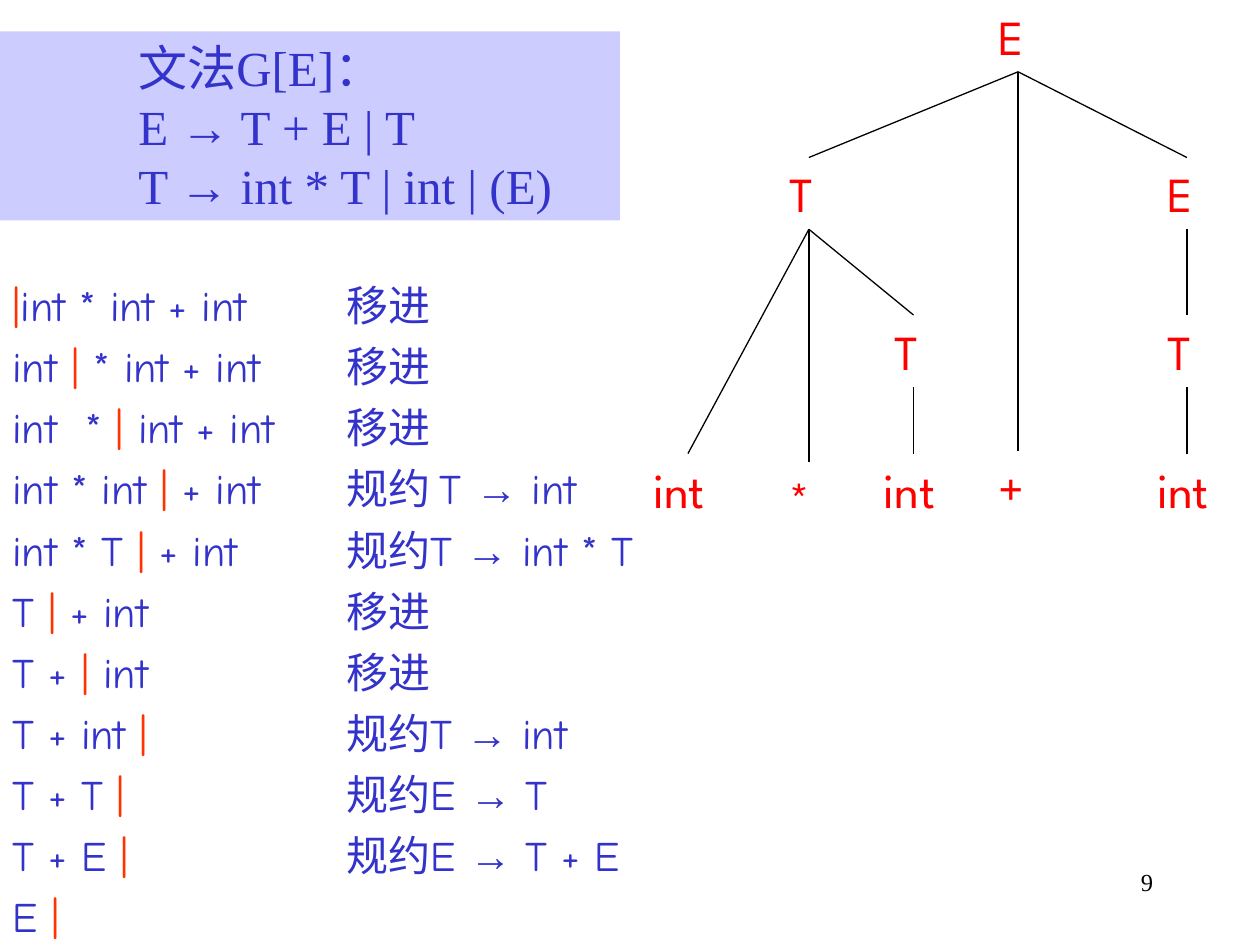
from pptx import Presentation
from pptx.dml.color import RGBColor
from pptx.enum.shapes import MSO_CONNECTOR, MSO_SHAPE
from pptx.enum.text import MSO_ANCHOR, MSO_AUTO_SIZE, PP_ALIGN
from pptx.oxml.ns import qn
from pptx.util import Inches, Pt

BLUE = RGBColor(0x33, 0x33, 0xCC)
LAVENDER = RGBColor(0xCC, 0xCC, 0xFF)
ORANGE = RGBColor(0xFF, 0x33, 0x00)
RED = RGBColor(0xFF, 0x00, 0x00)
BLACK = RGBColor(0, 0, 0)

TRACE_FONT, TREE_FONT, SERIF, ARROW_FONT = (
    "Comic Neue", "League Spartan", "Times New Roman", "Arial")

TRACE_TOP, ROW_HEIGHT = 2.17, 0.485
STACK_WIDTH, ACTION_WIDTH = 2.65, 2.85
NODE_HEIGHT = 0.57
BOTTOM, TOP = 2, 0

GRAMMAR = ["文法G[E]：\nE → T + E | T", "T → int * T | int | (E)"]

TRACE = [
    ("|int * int + int", "移进"),
    ("int | * int + int", "移进"),
    ("int  * | int + int", "移进"),
    ("int * int | + int", "规约 T → int"),
    ("int * T | + int", "规约T → int * T"),
    ("T | + int", "移进"),
    ("T + | int", "移进"),
    ("T + int |", "规约T → int"),
    ("T + T |", "规约E → T"),
    ("T + E |", "规约E → T + E"),
    ("E |", ""),
]

# name: (text, centre x, top, width, parent)
TREE = {
    "root": ("E", 8.08, 0, 0.5, None),
    "left T": ("T", 6.42, 1.25, 0.5, "root"),
    "right E": ("E", 9.42, 1.25, 0.5, "root"),
    "plus": ("+", 8.08, 3.58, 0.5, "root"),
    "first int": ("int", 5.46, 3.6, 0.75, "left T"),
    "times": ("*", 6.42, 3.67, 0.5, "left T"),
    "inner T": ("T", 7.25, 2.5, 0.5, "left T"),
    "second int": ("int", 7.25, 3.6, 0.67, "inner T"),
    "right T": ("T", 9.42, 2.5, 0.5, "right E"),
    "third int": ("int", 9.42, 3.6, 0.67, "right T"),
}


def add_text(shapes, text, left, top, width, height, font, size, color):
    box = shapes.add_textbox(Inches(left), Inches(top), Inches(width), Inches(height))
    box.text_frame.word_wrap = True
    para = box.text_frame.paragraphs[0]
    write_spans(para, text, font, size, color)
    return box


def write_spans(para, text, font, size, color, mark=None, mark_color=None):
    """Write text, with arrows in their own font and the mark in its own colour."""
    para.font.size = Pt(size)
    para.font.color.rgb = color
    for special in ("→", "\n", mark):
        if special:
            text = text.replace(special, f"\t{special}\t")
    for piece in filter(None, text.split("\t")):
        if piece == "\n":
            para.add_line_break()
            continue
        span = para.add_run()
        span.text = piece
        span.font.name = ARROW_FONT if piece == "→" else font
        span.font.size = Pt(size)
        span.font.color.rgb = mark_color if piece == mark else color


def add_trace(page):
    group = page.shapes.add_group_shape()
    for row, (stack, action) in enumerate(TRACE):
        top = TRACE_TOP + row * ROW_HEIGHT
        box = add_text(group.shapes, "", 0, top, STACK_WIDTH, ROW_HEIGHT,
                       TRACE_FONT, 24, BLUE)
        write_spans(box.text_frame.paragraphs[0], stack, TRACE_FONT, 24, BLUE,
                    "|", ORANGE)
        if action:
            add_text(group.shapes, action, STACK_WIDTH, top, ACTION_WIDTH,
                     ROW_HEIGHT, TRACE_FONT, 24, BLUE)


def add_grammar(page):
    panel = page.shapes.add_shape(MSO_SHAPE.RECTANGLE, 0, Inches(0.25),
                                  Inches(4.92), Inches(1.5))
    panel.shadow.inherit = False
    panel.fill.solid()
    panel.fill.fore_color.rgb = LAVENDER
    panel.line.fill.background()
    frame = panel.text_frame
    frame.word_wrap = True
    frame.vertical_anchor = MSO_ANCHOR.TOP
    for index, rule in enumerate(GRAMMAR):
        para = frame.add_paragraph() if index else frame.paragraphs[0]
        para.level = 2
        para.alignment = PP_ALIGN.LEFT
        properties = para._p.get_or_add_pPr()
        properties.set("marL", str(Inches(1)))
        properties.set("indent", "0")
        write_spans(para, rule, SERIF, 28, BLUE)


def add_branch(page, parent, child):
    line = page.shapes.add_connector(MSO_CONNECTOR.STRAIGHT, 0, 0, 0, 0)
    line.begin_connect(parent, BOTTOM)
    line.end_connect(child, TOP)
    line.line.color.rgb = BLACK
    line.line.width = Pt(0.75)
    properties = line._element.spPr
    properties.append(properties.makeelement(qn("a:effectLst"), {}))


def add_tree(page):
    nodes = {}
    for name, (text, centre, top, width, parent) in TREE.items():
        nodes[name] = add_text(page.shapes, text, centre - width / 2, top, width,
                               NODE_HEIGHT, TREE_FONT, 28, RED)
        nodes[name].text_frame.auto_size = MSO_AUTO_SIZE.SHAPE_TO_FIT_TEXT
        if parent:
            add_branch(page, nodes[parent], nodes[name])


def main():
    deck = Presentation()
    deck.slide_width, deck.slide_height = Inches(10), Inches(7.5)
    page = deck.slides.add_slide(deck.slide_layouts[6])
    number = add_text(page.shapes, "9", 7.17, 6.83, 2.08, 0.5, SERIF, 14, BLACK)
    number.text_frame.paragraphs[0].alignment = PP_ALIGN.RIGHT
    add_trace(page)
    add_grammar(page)
    add_tree(page)
    deck.save("out.pptx")


if __name__ == "__main__":
    main()
